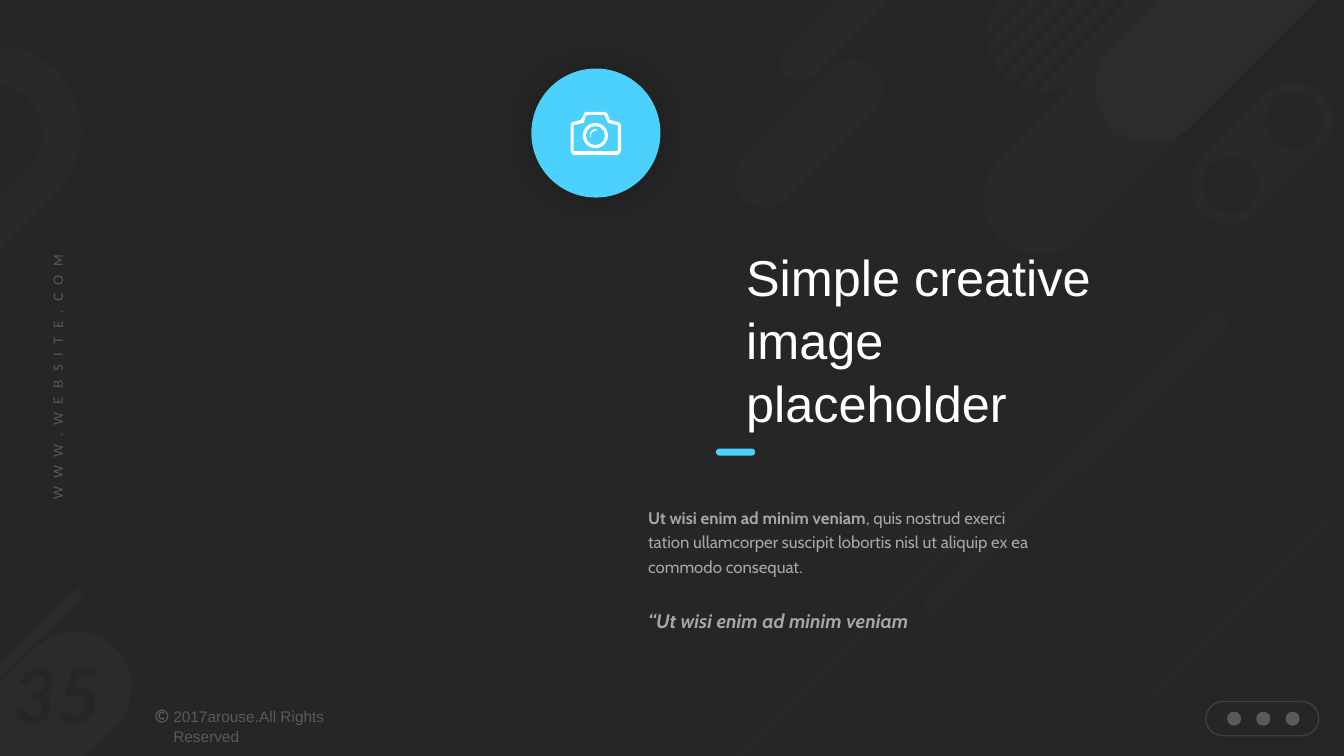
"""Build the dark slide with a camera badge, title and body text."""
from lxml import etree
from pptx import Presentation
from pptx.dml.color import RGBColor
from pptx.enum.shapes import MSO_SHAPE
from pptx.enum.text import MSO_ANCHOR, PP_ALIGN
from pptx.oxml.ns import qn
from pptx.util import Inches, Pt

PILL, ELLIPSE = MSO_SHAPE.ROUNDED_RECTANGLE, MSO_SHAPE.OVAL
DONUT, ARC = MSO_SHAPE.DONUT, MSO_SHAPE.BLOCK_ARC
TOP, MIDDLE = MSO_ANCHOR.TOP, MSO_ANCHOR.MIDDLE
LEFT, CENTER = PP_ALIGN.LEFT, PP_ALIGN.CENTER

DARK = RGBColor(0x26, 0x26, 0x26)
CHARCOAL = RGBColor(0x40, 0x40, 0x40)
GREY = RGBColor(0x59, 0x59, 0x59)
SILVER = RGBColor(0xA6, 0xA6, 0xA6)
WHITE = RGBColor(0xFF, 0xFF, 0xFF)
CYAN = RGBColor(0x4B, 0xD1, 0xFB)

SLANTED_PILLS = [
    (11.53, -2.88, 1.11, 6.14, 15),
    (12.64, -3.99, 1.11, 6.14, 15),
    (11.57, -4.49, 1.11, 6.14, 15),
    (12.13, 0.68, 0.76, 1.67, 15),
    (-0.06, 6.16, 1.11, 1.83, 20),
    (0.28, 5.65, 0.09, 1.39, 20),
    (8.29, 4.44, 0.05, 4.17, 10),
    (10.56, 2.51, 0.2, 4.19, 10),
    (7.72, 0.41, 0.6, 1.83, 12),
    (8.26, -0.81, 0.38, 1.83, 15),
    (12.26, 4.8, 0.07, 2.49, 10),
]
HOOK = [[
    (0, 0.46), (0.08, 0.46), (0.2, 0.48, 0.32, 0.52, 0.42, 0.59),
    (0.56, 0.7), (0.67, 0.84), (0.89, 1.17, 0.85, 1.62, 0.56, 1.91),
    (0, 2.47), (0, 1.95), (0.28, 1.67), (0.47, 1.48, 0.47, 1.17, 0.28, 0.98),
    (0.21, 0.91, 0.12, 0.86, 0.03, 0.84), (0, 0.84),
]]
CAMERA_BODY = [
    [
        (6.13, 1.49), (6.13, 1.5, 6.12, 1.5, 6.11, 1.5), (5.7, 1.5),
        (5.69, 1.5, 5.69, 1.5, 5.69, 1.49), (5.69, 1.25),
        (5.69, 1.25, 5.69, 1.24, 5.7, 1.24), (5.79, 1.22), (5.81, 1.15),
        (5.82, 1.15, 5.82, 1.14, 5.83, 1.14), (5.99, 1.14),
        (5.99, 1.14, 6, 1.15, 6, 1.15), (6.03, 1.22), (6.12, 1.24),
        (6.12, 1.24, 6.13, 1.25, 6.13, 1.25),
    ],
    [
        (6.12, 1.21), (6.05, 1.19), (6.03, 1.14),
        (6.02, 1.12, 6.01, 1.11, 5.99, 1.11), (5.83, 1.11),
        (5.81, 1.11, 5.79, 1.12, 5.79, 1.14), (5.76, 1.19), (5.69, 1.21),
        (5.67, 1.21, 5.66, 1.23, 5.66, 1.25), (5.66, 1.49),
        (5.66, 1.51, 5.68, 1.54, 5.7, 1.54), (6.11, 1.54),
        (6.14, 1.54, 6.16, 1.51, 6.16, 1.49), (6.16, 1.25),
        (6.16, 1.23, 6.14, 1.21, 6.12, 1.21),
    ],
]
LENS_GLINT = [[
    (5.91, 1.28), (5.87, 1.28, 5.85, 1.31, 5.85, 1.35),
    (5.85, 1.36, 5.86, 1.36, 5.86, 1.35), (5.86, 1.32, 5.88, 1.3, 5.91, 1.3),
    (5.92, 1.3, 5.92, 1.28, 5.91, 1.28),
]]


def set_opacity(color_format, percent):
    """Add an alpha value to the solid colour of a fill or line."""
    fill = color_format.find(".//" + qn("a:srgbClr"))
    etree.SubElement(fill, qn("a:alpha"), val=str(percent * 1000))


def paint(shape, color, opacity=100):
    """Give a shape a flat fill without outline or shadow."""
    shape.shadow.inherit = False
    shape.fill.solid()
    shape.fill.fore_color.rgb = color
    shape.line.fill.background()
    if opacity < 100:
        set_opacity(shape.element.spPr.find(qn("a:solidFill")), opacity)


def add_preset(page, kind, box, color, opacity=100, rotation=0, adjust=()):
    """Add a filled preset shape; box is left, top, width, height."""
    shape = page.shapes.add_shape(kind, *map(Inches, box))
    shape.rotation = rotation
    for index, value in enumerate(adjust):
        shape.adjustments[index] = value
    paint(shape, color, opacity)
    return shape


def trace(steps, samples=10):
    """Turn line and cubic curve steps into a list of points."""
    points = [steps[0]]
    for step in steps[1:]:
        if len(step) == 2:
            points.append(step)
            continue
        x0, y0 = points[-1]
        x1, y1, x2, y2, x3, y3 = step
        for index in range(1, samples + 1):
            t = index / samples
            a, b, c, d = (1 - t) ** 3, 3 * t * (1 - t) ** 2, 3 * t * t * (1 - t), t ** 3
            points.append((a * x0 + b * x1 + c * x2 + d * x3,
                           a * y0 + b * y1 + c * y2 + d * y3))
    return [(Inches(x), Inches(y)) for x, y in points]


def add_outline(page, contours, color, opacity=100):
    """Add a filled freeform made of one or more closed contours."""
    first, *others = [trace(contour) for contour in contours]
    builder = page.shapes.build_freeform(*first[0])
    builder.add_line_segments(first[1:], close=True)
    for points in others:
        builder.move_to(*points[0])
        builder.add_line_segments(points[1:], close=True)
    paint(builder.convert_to_shape(), color, opacity)


def write(box, spans, font, size, color, align=LEFT, anchor=TOP, spacing=1.0,
          italic=False, tracking=0):
    """Write one paragraph of (text, bold) spans into a text shape."""
    frame = box.text_frame
    frame.word_wrap = True
    frame.vertical_anchor = anchor
    para = frame.paragraphs[0]
    para.alignment = align
    para.line_spacing = spacing
    for text, bold in spans:
        span = para.add_run()
        span.text = text
        span.font.name, span.font.size = font, Pt(size)
        span.font.bold, span.font.italic = bold, italic
        span.font.color.rgb = color
        if tracking:
            span.font._element.set("spc", str(tracking * 100))


def add_text(page, box, *content, rotation=0, **style):
    """Add a text box and write its paragraph."""
    text_box = page.shapes.add_textbox(*map(Inches, box))
    text_box.rotation = rotation
    write(text_box, *content, **style)


def add_background(page):
    """Draw the slanted shapes behind the content."""
    add_outline(page, HOOK, CHARCOAL, 15)
    for *box, opacity in SLANTED_PILLS:
        add_preset(page, PILL, box, CHARCOAL, opacity, 45, [0.5])
    for left, top in ((12.55, 0.91), (11.92, 1.55)):
        add_preset(page, ELLIPSE, (left, top, 0.57, 0.57), DARK)
    for index in range(5):
        add_preset(page, PILL, (9.69 + 0.24 * index, -2.39, 0.06, 5.7), DARK,
                   rotation=45, adjust=[0.5])


def add_margins(page):
    """Add the web address, page number, copyright line and button pill."""
    add_preset(page, DONUT, (1.54, 7.04, 0.13, 0.13), GREY, adjust=[0.09])
    add_preset(page, ARC, (1.57, 7.06, 0.07, 0.08), GREY, adjust=[27, 189, 0.2])
    add_text(page, (1.62, 6.96, 1.95, 0.47), [("2017arouse.All Rights Reserved", False)],
             "Arial", 11, GREY, spacing=1.05)
    add_text(page, (-0.87, 3.62, 2.89, 0.25), [("WWW.WEBSITE.COM", False)],
             "Lato", 9, GREY, rotation=270, align=CENTER, tracking=6)
    add_text(page, (-0.13, 6.43, 1.4, 0.9), [("35", True)], "Lato", 54, DARK,
             align=CENTER, anchor=MIDDLE, italic=True)
    pill = add_preset(page, PILL, (11.96, 6.96, 1.12, 0.34), DARK, adjust=[0.5])
    pill.fill.background()
    pill.line.color.rgb = GREY
    pill.line.width = Pt(1)
    set_opacity(pill.element.spPr.find(qn("a:ln")), 50)
    for index in range(3):
        add_preset(page, ELLIPSE, (12.17 + 0.29 * index, 7.06, 0.14, 0.14), GREY)


def add_camera_badge(page):
    """Add the cyan disc with its soft shadow and the camera."""
    disc = add_preset(page, ELLIPSE, (5.27, 0.68, 1.28, 1.28), CYAN)
    effects = disc.element.spPr.find(qn("a:effectLst"))
    shadow = etree.SubElement(effects, qn("a:outerShdw"), blurRad=str(Pt(20)),
                              dist="0", dir="0", algn="ctr", rotWithShape="0")
    etree.SubElement(shadow, qn("a:srgbClr"), val="0D0D0D")
    set_opacity(effects, 40)
    add_preset(page, DONUT, (5.78, 1.22, 0.25, 0.25), WHITE, adjust=[0.12])
    add_outline(page, LENS_GLINT, WHITE)
    add_outline(page, CAMERA_BODY, WHITE)


def add_title(page):
    """Move the title placeholder to the front and fill it."""
    title = page.shapes.title
    page.shapes.element.append(title.element)
    title.left, title.top, title.width, title.height = map(Inches, (7.3, 2.37, 3.67, 1.92))
    write(title, [("Simple creative image placeholder", False)], "Arial", 36, WHITE,
          spacing=1.04)


def main():
    """Build and save the slide."""
    deck = Presentation()
    deck.slide_width, deck.slide_height = Inches(13.33), Inches(7.5)
    page = deck.slides.add_slide(deck.slide_layouts[5])
    page.background.fill.solid()
    page.background.fill.fore_color.rgb = DARK
    add_background(page)
    add_margins(page)
    add_text(page, (6.33, 4.95, 4.06, 0.83), [
        ("Ut wisi enim ad minim veniam", True),
        (", quis nostrud exerci tation ullamcorper suscipit lobortis nisl ut aliquip "
         "ex ea commodo consequat.", False),
    ], "Cabin", 12, SILVER, spacing=1.2)
    add_text(page, (6.33, 5.95, 4.06, 0.36), [("“Ut wisi enim ad minim veniam", True)],
             "Cabin", 14, SILVER, spacing=1.2, italic=True)
    add_preset(page, PILL, (7.1, 4.45, 0.39, 0.07), CYAN, adjust=[0.5])
    add_title(page)
    add_camera_badge(page)
    deck.save("out.pptx")


if __name__ == "__main__":
    main()
